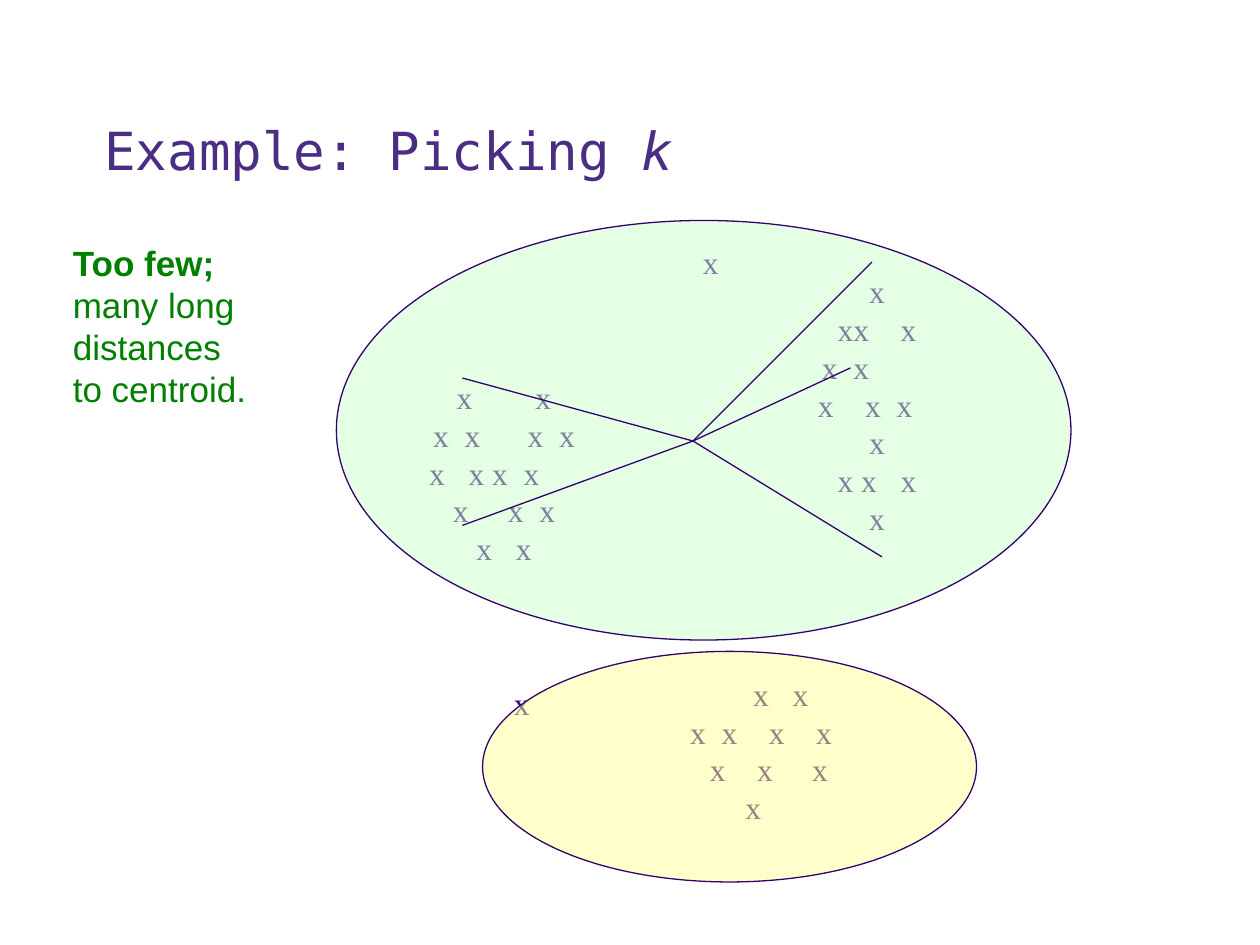
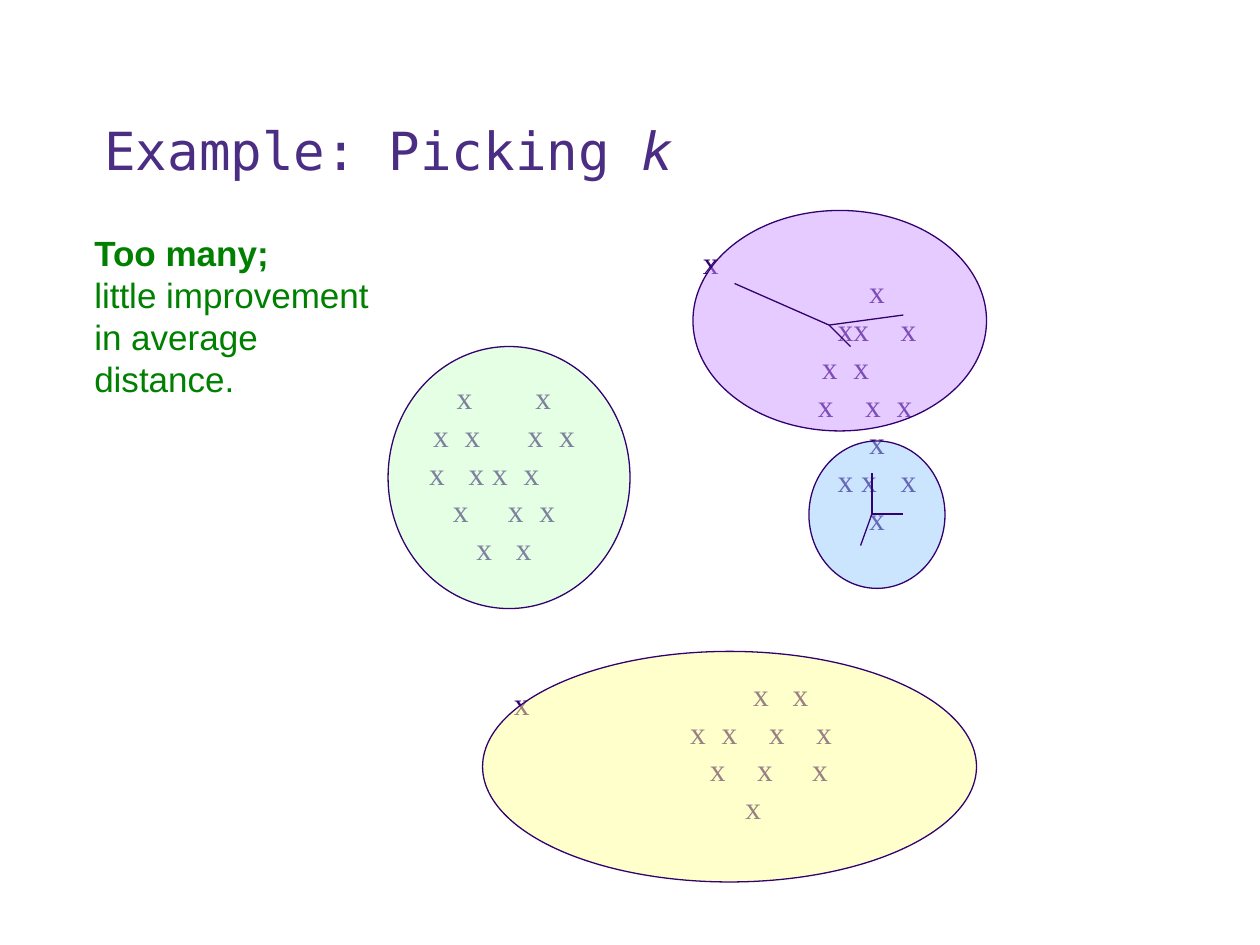
from dataclasses import dataclass
from itertools import groupby

from lxml.etree import SubElement as Sub
from pptx import Presentation as Deck
from pptx.dml.color import RGBColor as Rgb
from pptx.enum.shapes import MSO_CONNECTOR as Conn, MSO_SHAPE as Kind
from pptx.enum.text import MSO_ANCHOR as Anchor
from pptx.oxml.ns import qn
from pptx.util import Inches, Pt


@dataclass(frozen=True)
class Theme:
    """Colours, fonts and sizes that the slides share."""
    title: str = "4B2E83"
    ink: str = "33006F"
    note: str = "008000"
    green: str = "CCFFCC"
    yellow: str = "FFFF99"
    purple: str = "CC99FF"
    blue: str = "99CCFF"
    mono: str = "DejaVu Sans Mono"
    serif: str = "Times New Roman"
    sans: str = "Arial"
    head: int = 30
    body: int = 20
    mark: int = 18
    rule: float = 0.75
    lead: float = 1.2
    alpha: int = 50


T = Theme()
MARK, GAP = T.mark / 2 / 72, T.mark / 4 / 72

GROUPS = [
    ((3, 2.5, 2, 2.5),
     ["x........x", "x..x......x..x", "x...x.x..x.....", "x.....x..x", "x...x"]),
    ((6, 1.67, 1.92, 3.08),
     ["x", "xx....x", "x..x........", "x....x..x...", "x", "x.x...x", "x"]),
    ((5, 5.08, 2.08, 1.75),
     [".....x...x", "x..x....x....x", "..x....x.....x", "x.."]),
]
LONE = [(5.48, 1.88, 0.37, 0.5), (3.98, 5.38, 0.37, 0.5)]
BASE = ((3.83, 5.17, 3.92, 1.83), T.yellow)


def text(slide, at, rows, size, font, color, anchor=Anchor.TOP, inset=0.1,
         lead=None, tabs=()):
    """Add a text box whose rows are lists of (words, run format) pairs."""
    frame = slide.shapes.add_textbox(*map(Inches, at)).text_frame
    frame.word_wrap = True
    frame.vertical_anchor = anchor
    frame.margin_left = frame.margin_right = Inches(inset)
    for i, row in enumerate(rows):
        para = frame.paragraphs[0] if i == 0 else frame.add_paragraph()
        para.line_spacing = lead or Pt(size * T.lead)
        for words, look in row:
            run = para.add_run()
            run.text = words
            run.font.size, run.font.name = Pt(size), font
            run.font.color.rgb = Rgb.from_string(color)
            for key, value in look.items():
                setattr(run.font, key, value)
        if tabs:
            stops = Sub(para._p.get_or_add_pPr(), qn("a:tabLst"))
            for stop in tabs[i]:
                Sub(stops, qn("a:tab"), pos=str(Inches(stop)), algn="l")


def place(row, width):
    """Return the runs of marks in a centred row and their tab stops."""
    left = (width - sum(MARK if c == "x" else GAP for c in row)) / 2
    words, stops = "", []
    for char, run in groupby(row):
        count = len(list(run))
        if char == "x":
            words += "\t" + char * count
            stops.append(left)
        left += count * (MARK if char == "x" else GAP)
    return [(words, {})], stops


def marks(slide):
    """Draw the data points that all clusterings share."""
    look = dict(size=T.mark, font=T.serif, color=T.ink)
    for at, grid in GROUPS:
        rows, tabs = zip(*(place(row, at[2]) for row in grid))
        text(slide, at, rows, anchor=Anchor.MIDDLE, inset=0, tabs=tabs, **look)
    for at in LONE:
        text(slide, at, [[("x", {})]], **look)


def oval(slide, at, color):
    """Draw a half-transparent cluster outline."""
    shape = slide.shapes.add_shape(Kind.OVAL, *map(Inches, at))
    shape.shadow.inherit = False
    shape.fill.solid()
    shape.fill.fore_color.rgb = Rgb.from_string(color)
    tint = shape.fill._xPr.find(".//" + qn("a:srgbClr"))
    Sub(tint, qn("a:alpha"), val=str(T.alpha * 1000))
    shape.line.color.rgb = Rgb.from_string(T.ink)
    shape.line.width = Pt(T.rule)


def fan(slide, hub, ends):
    """Draw lines from a centroid to its points."""
    for end in ends:
        line = slide.shapes.add_connector(
            Conn.STRAIGHT, *map(Inches, (*hub, *end)))
        line.line.color.rgb = Rgb.from_string(T.ink)
        line.line.width = Pt(T.rule)
        Sub(line._element.spPr, qn("a:effectLst"))


def page(deck, note, at, ovals, fans):
    """Build one slide with title, points, clusters and note."""
    slide = deck.slides.add_slide(deck.slide_layouts[6])
    head = [("Example: Picking ", {}), ("k", {"italic": True})]
    text(slide, (0.73, 0.41, 8.95, 1.08), [head], T.head, T.mono, T.title,
         anchor=Anchor.BOTTOM, lead=0.9)
    marks(slide)
    for spot, color in ovals:
        oval(slide, spot, color)
    for hub, ends in fans:
        fan(slide, hub, ends)
    rows = [[(words, {"bold": i == 0})] for i, words in enumerate(note)]
    text(slide, at, rows, T.body, T.sans, T.note)


def main():
    """Build and save both slides."""
    deck = Deck()
    deck.slide_width, deck.slide_height = Inches(10), Inches(7.5)
    page(deck, ["Too few;", "many long", "distances", "to centroid."],
         (0.48, 1.87, 1.7, 1.45),
         [((2.67, 1.75, 5.83, 3.33), T.green), BASE],
         [((5.5, 3.5), [(3.67, 3), (3.67, 4.17), (7, 4.42), (6.75, 2.92),
                        (6.92, 2.08)])])
    page(deck, ["Too many;", "little improvement", "in average", "distance."],
         (0.65, 1.79, 2.5, 1.45),
         [BASE, ((3.08, 2.75, 1.92, 2.08), T.green),
          ((5.5, 1.67, 2.33, 1.75), T.purple),
          ((6.42, 3.5, 1.08, 1.17), T.blue)],
         [((6.58, 2.58), [(5.83, 2.25), (7.17, 2.5), (6.75, 2.75)]),
          ((6.92, 4.08), [(6.92, 3.75), (7.17, 4.08), (6.83, 4.33)])])
    deck.save("out.pptx")


if __name__ == "__main__":
    main()
